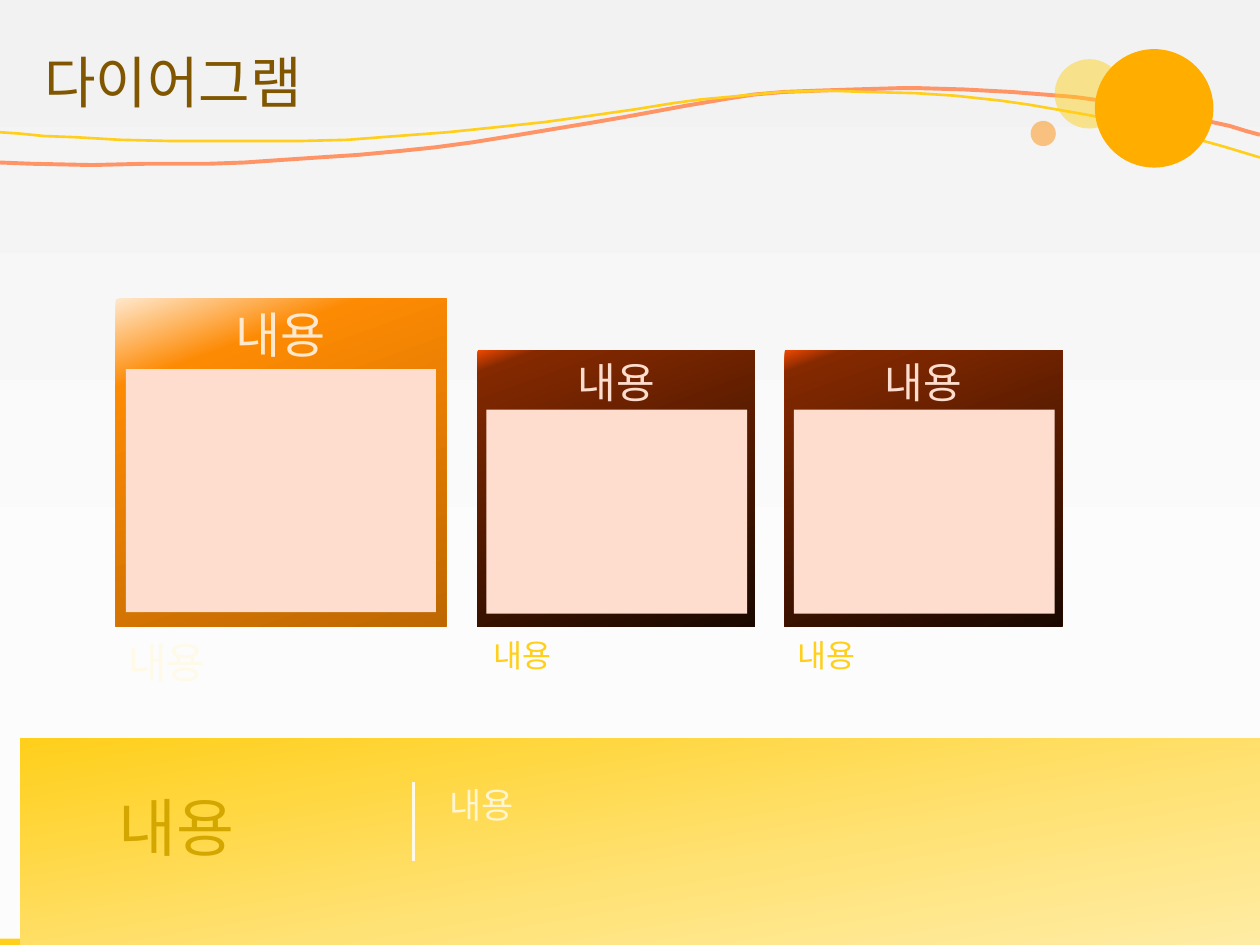
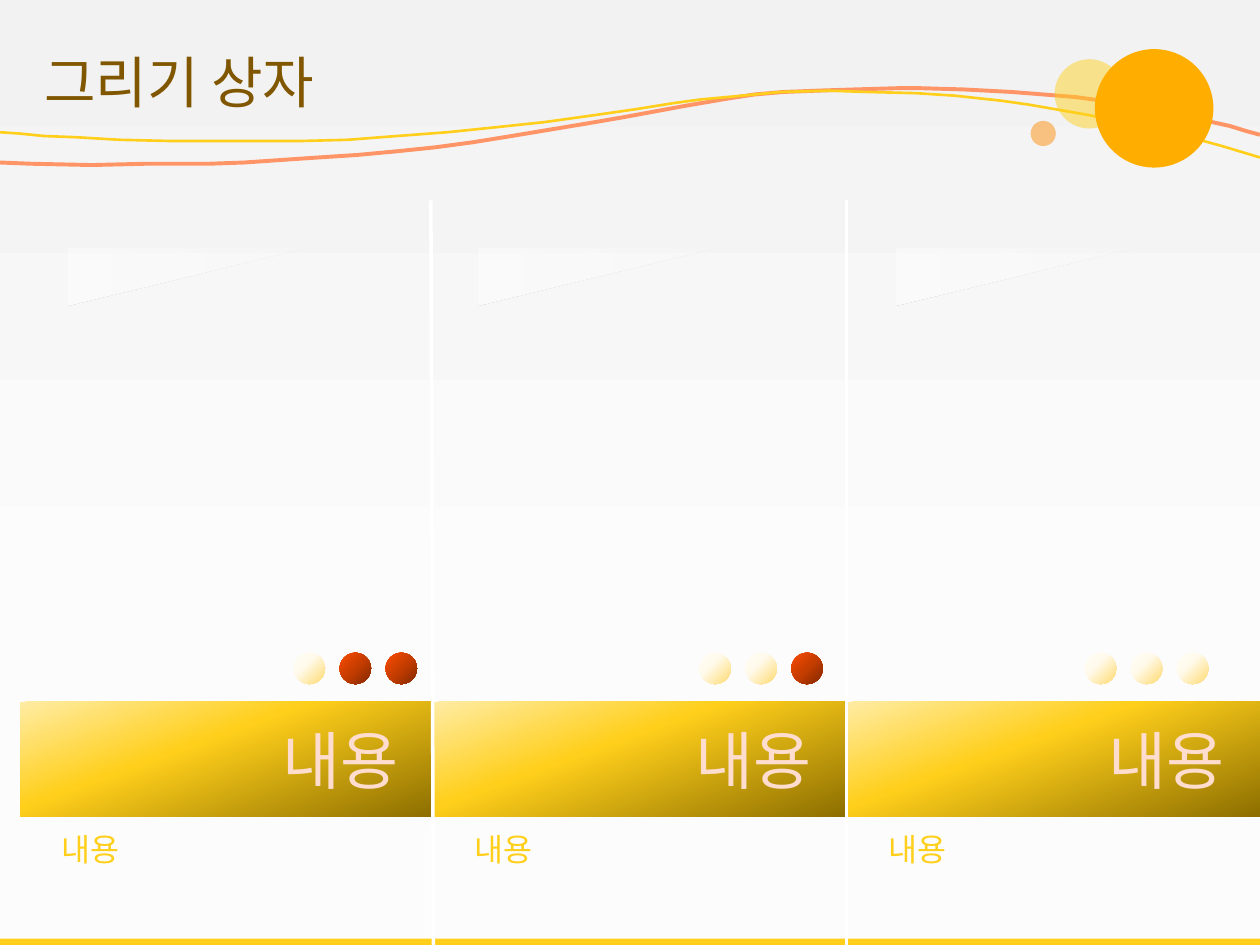
"""Build two slides, a row of cards and a set of columns, in one yellow style."""
from lxml import etree
from pptx import Presentation, util as u
from pptx.dml.color import RGBColor
from pptx.enum import shapes, text
from pptx.oxml.ns import qn

INK = {
    "title": "805700", "gold": "FFCF1B", "sun": "FFAE00", "amber": "FD8A03",
    "coral": "FF9566", "blush": "FFDDCE", "cream": "FFE8CD", "pale": "FFF5D1",
    "milk": "FFFAE8", "ochre": "D4A700", "white": "FFFFFF",
}
FADE = {
    "page": ([(0, "F2F2F2"), (67, "FCFCFC")], 90),
    "lead": ([(0, "FFE8CD"), (20, "FD8A03"), (100, "BE6802")], 70),
    "card": ([(0, "EE4900"), (6, "842900"), (100, "1A0800")], 70),
    "foot": ([(0, "FFECA4"), (40, "FFE276"), (100, "FFCF1B")], 260),
    "band": ([(0, "FFECA4"), (40, "FFCF1B"), (100, "8D6F00")], 70),
    "off": ([(0, "FFFDF7"), (40, "FFFAEB"), (100, "FFDB70")], 45),
    "on": ([(0, "FB4D00"), (50, "C63D00"), (100, "842900")], 45),
    "glow": ([(0, "FFFFFF", 15), (50, "FFFFFF", 30), (100, "FFFFFF", 50)], 90),
}
FONT, HAN = "Cabin", "Noto Sans CJK KR"
WORD = "내용"
RECT = shapes.MSO_SHAPE.RECTANGLE
OVAL = shapes.MSO_SHAPE.OVAL
WEDGE = shapes.MSO_SHAPE.RIGHT_TRIANGLE
LEFT, MID, RIGHT = text.PP_ALIGN.LEFT, text.PP_ALIGN.CENTER, text.PP_ALIGN.RIGHT
TOP, HALF = text.MSO_ANCHOR.TOP, text.MSO_ANCHOR.MIDDLE

CORAL = [
    (0, 1.29), (0.25, 1.3), (0.73, 1.31), (1.16, 1.3), (1.66, 1.3), (1.94, 1.29),
    (2.23, 1.27), (2.53, 1.25), (2.84, 1.23), (3.16, 1.2), (3.45, 1.17),
    (3.75, 1.13), (4.06, 1.08), (4.36, 1.03), (4.66, 0.98), (4.95, 0.93),
    (5.44, 0.84), (5.79, 0.78), (5.99, 0.75), (6.22, 0.73), (6.48, 0.72),
    (6.78, 0.71), (7.12, 0.7), (7.31, 0.7), (7.65, 0.71), (8.03, 0.73),
    (8.28, 0.75), (8.53, 0.77), (8.83, 0.81), (9.11, 0.86), (9.36, 0.91),
    (9.58, 0.96), (9.76, 1), (9.89, 1.04), (10, 1.07),
]
GOLD = [
    (0, 1.05), (0.15, 1.06), (0.35, 1.08), (0.61, 1.09), (0.95, 1.11),
    (1.36, 1.12), (1.84, 1.12), (2.38, 1.12), (2.76, 1.11), (3.15, 1.08),
    (3.55, 1.05), (3.94, 1.01), (4.32, 0.97), (4.68, 0.92), (5.03, 0.87),
    (5.34, 0.82), (5.56, 0.79), (5.78, 0.77), (5.99, 0.75), (6.2, 0.73),
    (6.58, 0.72), (6.87, 0.73), (7.27, 0.74), (7.58, 0.76), (7.95, 0.8),
    (8.16, 0.83), (8.39, 0.87), (8.62, 0.91), (8.88, 0.96), (9.14, 1.02),
    (9.41, 1.08), (9.7, 1.16), (10, 1.25),
]


def hue(name):
    """Return a named colour."""
    return RGBColor.from_string(INK[name])


def dim(clr, pct):
    """Make a colour element partly clear."""
    etree.SubElement(clr, qn("a:alpha"), val=str(pct * 1000))


def blend(fill, root, name):
    """Give a fill the stops and the clockwise angle of a named fade."""
    stops, ang = FADE[name]
    fill.gradient()
    fill.gradient_angle = 360 - ang
    rows = root.find(".//" + qn("a:gsLst"))
    for row in list(rows):
        rows.remove(row)
    for pos, tint, *clear in stops:
        row = etree.SubElement(rows, qn("a:gs"), pos=str(pos * 1000))
        clr = etree.SubElement(row, qn("a:srgbClr"), val=tint)
        for pct in clear:
            dim(clr, pct)


def write(frame, words, size, ink, align=LEFT, anchor=TOP, font=FONT):
    """Put one formatted line of text into a frame."""
    frame.word_wrap = True
    frame.vertical_anchor = anchor
    frame.text = words
    para = frame.paragraphs[0]
    para.alignment = align
    run = para.runs[0]
    run.font.size = u.Pt(size)
    run.font.name = font
    run.font.color.rgb = hue(ink)
    etree.SubElement(run.font._element, qn("a:ea"), typeface=HAN)


def shape(slide, kind, box, paint, clear=None):
    """Add a preset shape with a plain or faded fill and no outline."""
    item = slide.shapes.add_shape(kind, *map(u.Inches, box))
    item.shadow.inherit = False
    item.line.fill.background()
    if paint in FADE:
        blend(item.fill, item.element, paint)
    else:
        item.fill.solid()
        item.fill.fore_color.rgb = hue(paint)
    if clear:
        dim(item.element.spPr.find(".//" + qn("a:srgbClr")), clear)
    return item


def label(slide, box, size, ink, anchor=TOP, pad=None):
    """Add a text box."""
    frame = slide.shapes.add_textbox(*map(u.Inches, box)).text_frame
    if pad is not None:
        frame.margin_left = frame.margin_right = u.Inches(pad)
        frame.margin_top = frame.margin_bottom = u.Inches(pad)
    write(frame, WORD, size, ink, anchor=anchor)


def rule(slide, start, end, ink, width):
    """Add a straight line."""
    line = slide.shapes.add_connector(
        shapes.MSO_CONNECTOR.STRAIGHT, *map(u.Inches, start + end))
    line.line.color.rgb = hue(ink)
    line.line.width = u.Pt(width)
    etree.SubElement(line.element.spPr, qn("a:effectLst"))


def wave(slide, points, ink, width):
    """Add an open curve through the points."""
    dots = [(u.Inches(x), u.Inches(y)) for x, y in points]
    pen = slide.shapes.build_freeform(*dots[0])
    pen.add_line_segments(dots[1:], close=False)
    curve = pen.convert_to_shape()
    curve.shadow.inherit = False
    curve.fill.background()
    curve.line.color.rgb = hue(ink)
    curve.line.width = u.Pt(width)


def start(deck, words):
    """Add a slide with the shared background, waves, circles and title."""
    slide = deck.slides.add_slide(deck.slide_layouts[5])
    blend(slide.background.fill, slide.element, "page")
    wave(slide, CORAL, "coral", 2.25)
    wave(slide, GOLD, "gold", 1.5)
    shape(slide, OVAL, (8.37, 0.47, 0.55, 0.55), "gold", 48)
    shape(slide, OVAL, (8.69, 0.39, 0.94, 0.94), "sun")
    shape(slide, OVAL, (8.18, 0.96, 0.2, 0.2), "amber", 48)
    shape(slide, RECT, (0, 7.45, 10, 0.05), "gold")
    title = slide.shapes.title
    title.left, title.top = u.Inches(0.25), u.Inches(0.19)
    title.width, title.height = u.Inches(9.49), u.Inches(0.91)
    write(title.text_frame, words, 32, "title", anchor=HALF, font=HAN)
    return slide


def card(slide, box, pane, paint, size, ink):
    """Add a headed card with a pale pane inside."""
    head = shape(slide, RECT, box, paint)
    write(head.text_frame, WORD, size, ink, MID)
    shape(slide, RECT, pane, "blush")


def cards(deck):
    """Build the slide with three cards and a footer panel."""
    slide = start(deck, "다이어그램")
    card(slide, (0.92, 2.37, 2.62, 2.6), (1, 2.93, 2.46, 1.93), "lead", 28, "cream")
    label(slide, (0.92, 5, 2.62, 0.5), 24, "milk")
    for left, note in ((3.79, 3.82), (6.23, 6.23)):
        card(slide, (left, 2.78, 2.2, 2.19), (left + 0.07, 3.25, 2.07, 1.62),
             "card", 24, "blush")
        label(slide, (note, 5, 2.19, 0.4), 18, "gold")
    shape(slide, RECT, (0.16, 5.86, 9.84, 1.64), "foot")
    label(slide, (0.94, 6.26, 2.16, 0.6), 36, "ochre", HALF, 0)
    label(slide, (3.47, 6.17, 5.83, 0.77), 20, "pale")
    rule(slide, (3.28, 6.21), (3.28, 6.83), "milk", 0)


def columns(deck):
    """Build the slide with three columns, each rated by lit dots."""
    slide = start(deck, "그리기 상자")
    wide = 3.28
    for col, (dot, glow) in enumerate(((2.33, 1.26), (5.55, 4.51), (8.61, 7.83))):
        left = 0.16 + col * wide
        band = shape(slide, RECT, (left, 5.57, wide, 0.91), "band")
        band.text_frame.margin_right = u.Inches(0.28)
        write(band.text_frame, WORD, 36, "blush", RIGHT, HALF)
        label(slide, (left + 0.23, 6.54, 2.81, 0.71), 18, "gold")
        for step in range(3):
            paint = "on" if step > col else "off"
            shape(slide, OVAL, (dot + step * 0.365, 5.18, 0.25, 0.25), paint)
        shape(slide, WEDGE, (glow, 1.26, 0.45, 1.88), "glow").rotation = 90
    for foot, peak in ((3.44, 3.42), (6.72, 6.72)):
        rule(slide, (foot, 7.5), (peak, 1.59), "white", 2)


def main():
    """Make and save the deck."""
    deck = Presentation()
    deck.slide_width, deck.slide_height = u.Inches(10), u.Inches(7.5)
    cards(deck)
    columns(deck)
    deck.save("out.pptx")


if __name__ == "__main__":
    main()
